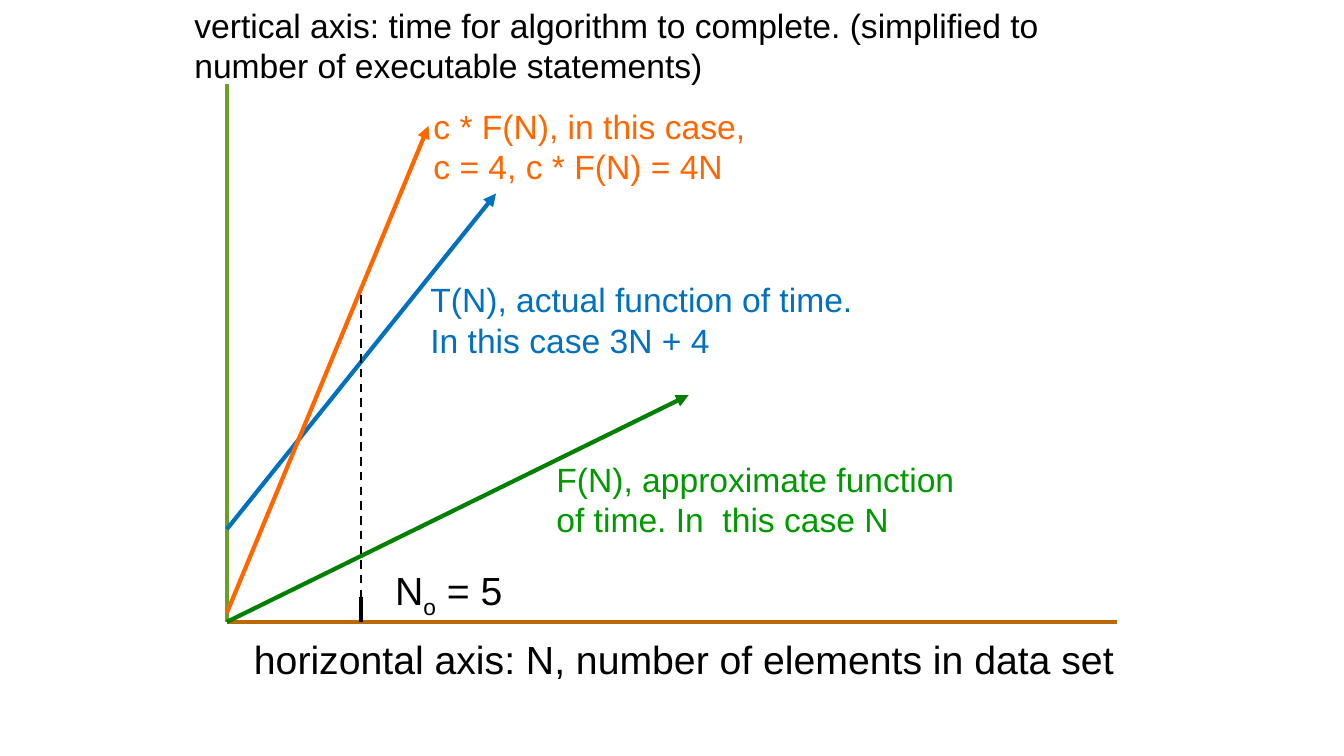
import dataclasses

import pptx
import pptx.dml.color
import pptx.enum.dml
import pptx.enum.shapes
import pptx.enum.text
import pptx.oxml
import pptx.oxml.ns
import pptx.slide
import pptx.util

PX = 9144  # EMU per px, 100 px to the inch
COLOURS = {
    "text": "000000",
    "horizontal axis": "BA6906",
    "vertical axis": "6B9F25",
    "actual": "0070C0",
    "approximate line": "008000",
    "approximate label": "009900",
    "bound": "FF6600",
}


@dataclasses.dataclass(frozen=True)
class Line:
    start: tuple[int, int]
    end: tuple[int, int]
    colour: str
    width: float = 3
    arrow: bool = False
    dashed: bool = False


@dataclasses.dataclass(frozen=True)
class Label:
    """Text between underscores is set as a subscript."""
    text: str
    left: int
    top: int
    width: int
    height: int
    colour: str = "text"
    size: int = 24


ORIGIN = (225, 617)
N0 = 358

LINES = [
    Line(ORIGIN, (1108, 617), "horizontal axis"),
    Line(ORIGIN, (225, 83), "vertical axis"),
    Line((225, 525), (492, 192), "actual", arrow=True),
    Line(ORIGIN, (683, 392), "approximate line", arrow=True),
    Line((N0, 592), (N0, 617), "text"),
    Line((225, 608), (425, 125), "bound", arrow=True),
    Line((N0, 608), (N0, 292), "text", width=1.5, dashed=True),
]

LABELS = [
    Label("horizontal axis: N, number of elements in data set",
          242, 625, 875, 57, size=28),
    Label("vertical axis: time for algorithm to complete. (simplified to\n"
          "number of executable statements)", 183, 0, 866, 91),
    Label("T(N), actual function of time. \nIn this case 3N + 4",
          417, 272, 452, 91, "actual"),
    Label("F(N), approximate function \nof time. In  this case N",
          542, 450, 428, 91, "approximate label"),
    Label("N_o_ = 5", 382, 557, 140, 57, size=28),
    Label("c * F(N), in this case, \nc = 4, c * F(N) = 4N",
          420, 100, 342, 91, "bound"),
]


def colour_of(name: str) -> pptx.dml.color.RGBColor:
    return pptx.dml.color.RGBColor.from_string(COLOURS[name])


def draw_line(page: pptx.slide.Slide, line: Line) -> None:
    connector = page.shapes.add_connector(
        pptx.enum.shapes.MSO_CONNECTOR.STRAIGHT,
        *(value * PX for value in line.start + line.end))
    connector.line.color.rgb = colour_of(line.colour)
    connector.line.width = pptx.util.Pt(line.width)
    if line.dashed:
        connector.line.dash_style = pptx.enum.dml.MSO_LINE.DASH
    properties = connector._element.spPr
    if line.arrow:
        head = pptx.oxml.ns.qn("a:tailEnd")
        outline = properties.find(pptx.oxml.ns.qn("a:ln"))
        outline.append(outline.makeelement(head, {"type": "triangle"}))
    properties.append(
        properties.makeelement(pptx.oxml.ns.qn("a:effectLst"), {}))


def draw_label(page: pptx.slide.Slide, label: Label) -> None:
    box = page.shapes.add_textbox(
        *(value * PX
          for value in (label.left, label.top, label.width, label.height)))
    frame = box.text_frame
    frame.word_wrap = False
    frame.auto_size = pptx.enum.text.MSO_AUTO_SIZE.SHAPE_TO_FIT_TEXT
    para = frame.paragraphs[0]
    para.font.name = "Arial"
    para.font.size = pptx.util.Pt(label.size)
    para.font.color.rgb = colour_of(label.colour)
    for row, text in enumerate(label.text.split("\n")):
        if row:
            para.add_line_break()
        for index, part in enumerate(text.split("_")):
            span = para.add_run()
            span.text = part
            if index % 2:
                span.font._element.set("baseline", "-25000")


def main() -> None:
    deck = pptx.Presentation()
    deck.slide_width = 1333 * PX
    deck.slide_height = 750 * PX
    page = deck.slides.add_slide(deck.slide_layouts[6])

    # Axes, functions and the crossing mark
    for line in LINES:
        draw_line(page, line)

    # Captions
    for label in LABELS:
        draw_label(page, label)

    deck.save("out.pptx")


if __name__ == "__main__":
    main()
